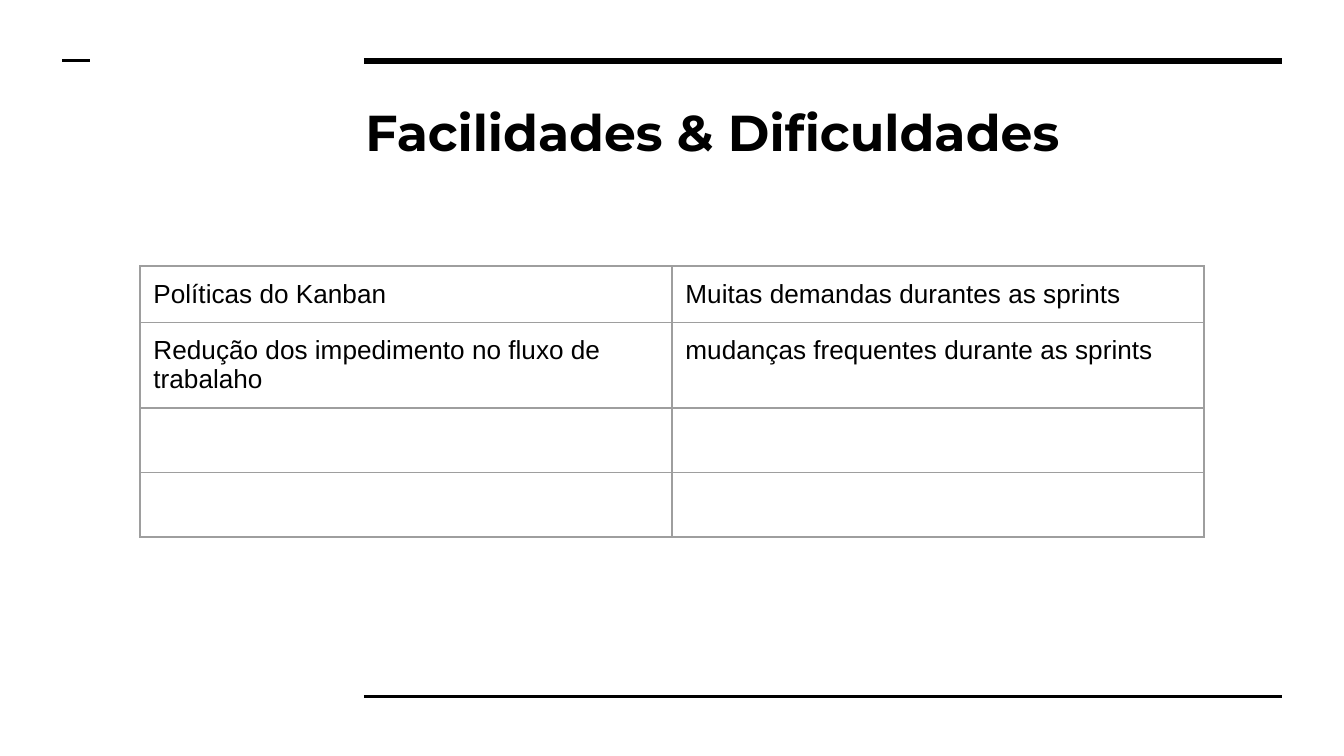
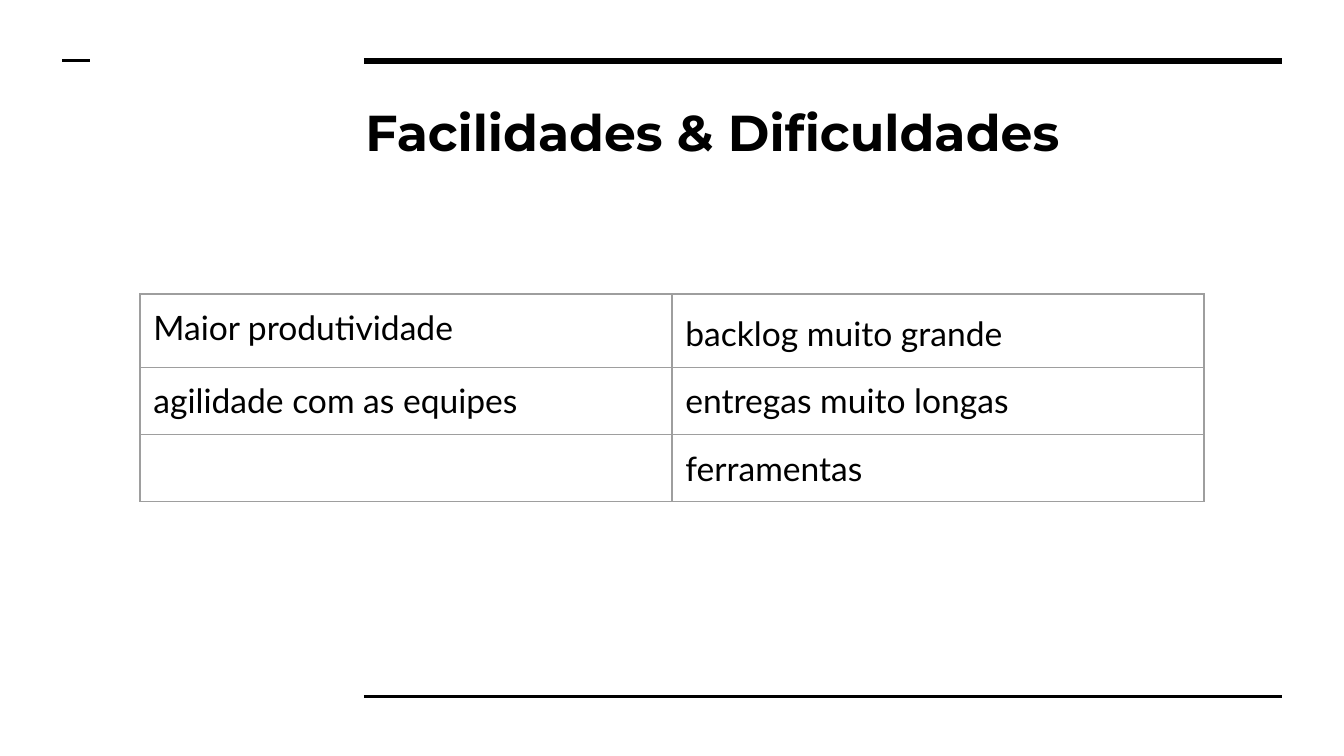
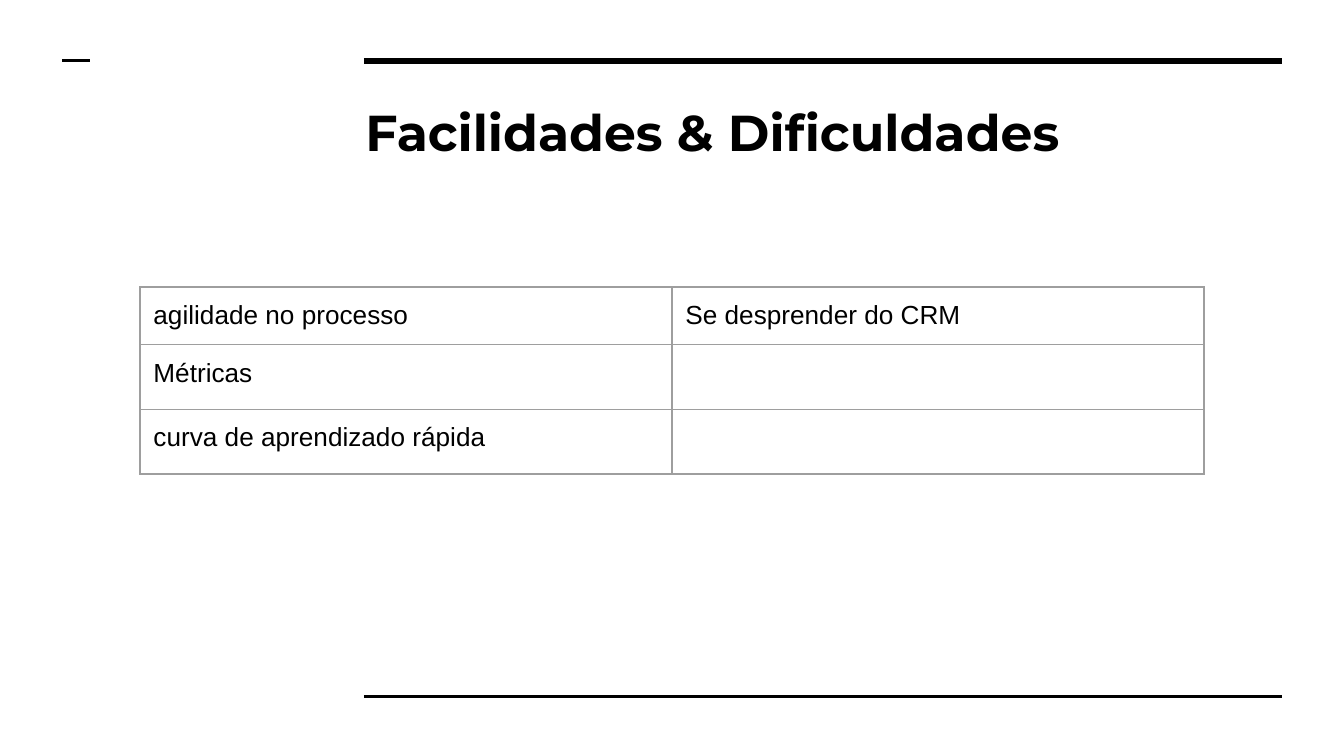
from lxml import etree
from pptx import Presentation
from pptx.dml.color import RGBColor
from pptx.enum import shapes, text
from pptx.oxml import ns
from pptx.util import Pt

BLACK = RGBColor(0x00, 0x00, 0x00)
GREY = RGBColor(0x9E, 0x9E, 0x9E)
PLAIN_GRID = "{2D5ABB26-0587-4C30-8999-92F81FD0307C}"
TITLE = "Facilidades & Dificuldades"

# Rules on every slide: left, right, y, weight
RULES = [(195, 687, 32.6, 3), (195, 687, 373, 1.5), (33.5, 48, 32.6, 1.5)]

# Each slide: top of table, row height, font, size, rows
TABLES = [
    (142.5, 30, "Arial", 14, [
        ("Políticas do Kanban", "Muitas demandas durantes as sprints"),
        ("Redução dos impedimento no fluxo de trabalaho",
         "mudanças frequentes durante as sprints"),
        ("", ""),
        ("", "")]),
    (157.5, 30, "Lato", 18, [
        ("Maior produtividade", "backlog muito grande"),
        ("agilidade com as equipes", "entregas muito longas"),
        ("", "ferramentas")]),
    (153.75, 31, "Arial", 14, [
        ("agilidade no processo", "Se desprender do CRM"),
        ("Métricas", ""),
        ("curva de aprendizado rápida", "")]),
]


class Deck:
    """Holds the style of the presentation and the current slide."""

    inset = 7.2
    table_left = 75
    column_width = 285

    def __init__(self):
        """Start an empty widescreen presentation."""
        self.prs = Presentation()
        self.prs.slide_width, self.prs.slide_height = Pt(720), Pt(405)
        self.s = None

    def slide(self, title):
        """Add a slide with its rules and title."""
        self.s = self.prs.slides.add_slide(self.prs.slide_layouts[5])
        for rule in RULES:
            self.rule(*rule)
        self.title(title)

    def rule(self, left, right, y, weight):
        """Draw a horizontal black rule."""
        line = self.s.shapes.add_connector(
            shapes.MSO_CONNECTOR.STRAIGHT, Pt(left), Pt(y), Pt(right), Pt(y))
        line.line.color.rgb = BLACK
        line.line.width = Pt(weight)
        etree.SubElement(line._element.spPr, ns.qn("a:effectLst"))

    def run(self, p, words, font, size, bold=False):
        """Add one formatted run to a paragraph."""
        r = p.add_run()
        r.text = words
        r.font.name, r.font.size, r.font.bold = font, Pt(size), bold
        r.font.color.rgb = BLACK

    def title(self, words):
        """Place and fill the title placeholder."""
        sp = self.s.shapes.title
        sp.left, sp.top, sp.width, sp.height = Pt(188.5), Pt(45.5), Pt(497.5), Pt(49.5)
        tf = sp.text_frame
        tf.margin_left = tf.margin_right = Pt(self.inset)
        tf.margin_top = tf.margin_bottom = Pt(self.inset)
        tf.word_wrap = True
        tf.auto_size = text.MSO_AUTO_SIZE.NONE
        tf.vertical_anchor = text.MSO_ANCHOR.MIDDLE
        p = tf.paragraphs[0]
        p.alignment = text.PP_ALIGN.LEFT
        self.run(p, words, "Montserrat", 27, bold=True)

    def table(self, top, row_height, font, size, rows):
        """Add a two-column table with a thin grey grid."""
        columns = len(rows[0])
        frame = self.s.shapes.add_table(
            len(rows), columns, Pt(self.table_left), Pt(top),
            Pt(columns * self.column_width), Pt(len(rows) * row_height))
        table = frame.table
        table.first_row = table.horz_banding = False
        table._tbl.tblPr.find(ns.qn("a:tableStyleId")).text = PLAIN_GRID
        for row, entries in zip(table.rows, rows):
            row.height = Pt(row_height)
            for cell, words in zip(row.cells, entries):
                self.cell(cell, words, font, size)
        return table

    def cell(self, cell, words, font, size):
        """Fill and frame one table cell."""
        cell.margin_left = cell.margin_right = Pt(self.inset)
        cell.margin_top = cell.margin_bottom = Pt(self.inset)
        cell.fill.background()
        self.borders(cell)
        p = cell.text_frame.paragraphs[0]
        if words:
            self.run(p, words, font, size)
        else:
            end = etree.SubElement(p._p, ns.qn("a:endParaRPr"), sz="1800")
            etree.SubElement(end, ns.qn("a:latin"), typeface="Arial")

    def borders(self, cell):
        """Give a cell its four grey borders."""
        tcPr = cell._tc.get_or_add_tcPr()
        for i, side in enumerate(("lnL", "lnR", "lnT", "lnB")):
            ln = etree.Element(ns.qn("a:" + side), w=str(Pt(0.75)))
            fill = etree.SubElement(ln, ns.qn("a:solidFill"))
            etree.SubElement(fill, ns.qn("a:srgbClr"), val=str(GREY))
            tcPr.insert(i, ln)


def main():
    """Build the three slides and save them."""
    deck = Deck()
    tables = []
    for content in TABLES:
        deck.slide(TITLE)
        tables.append(deck.table(*content))
    # The backlog entry is set more loosely than the others
    p = tables[1].cell(0, 1).text_frame.paragraphs[0]
    p.line_spacing, p.space_after = 1.15, Pt(12)
    deck.prs.save("out.pptx")


main()
